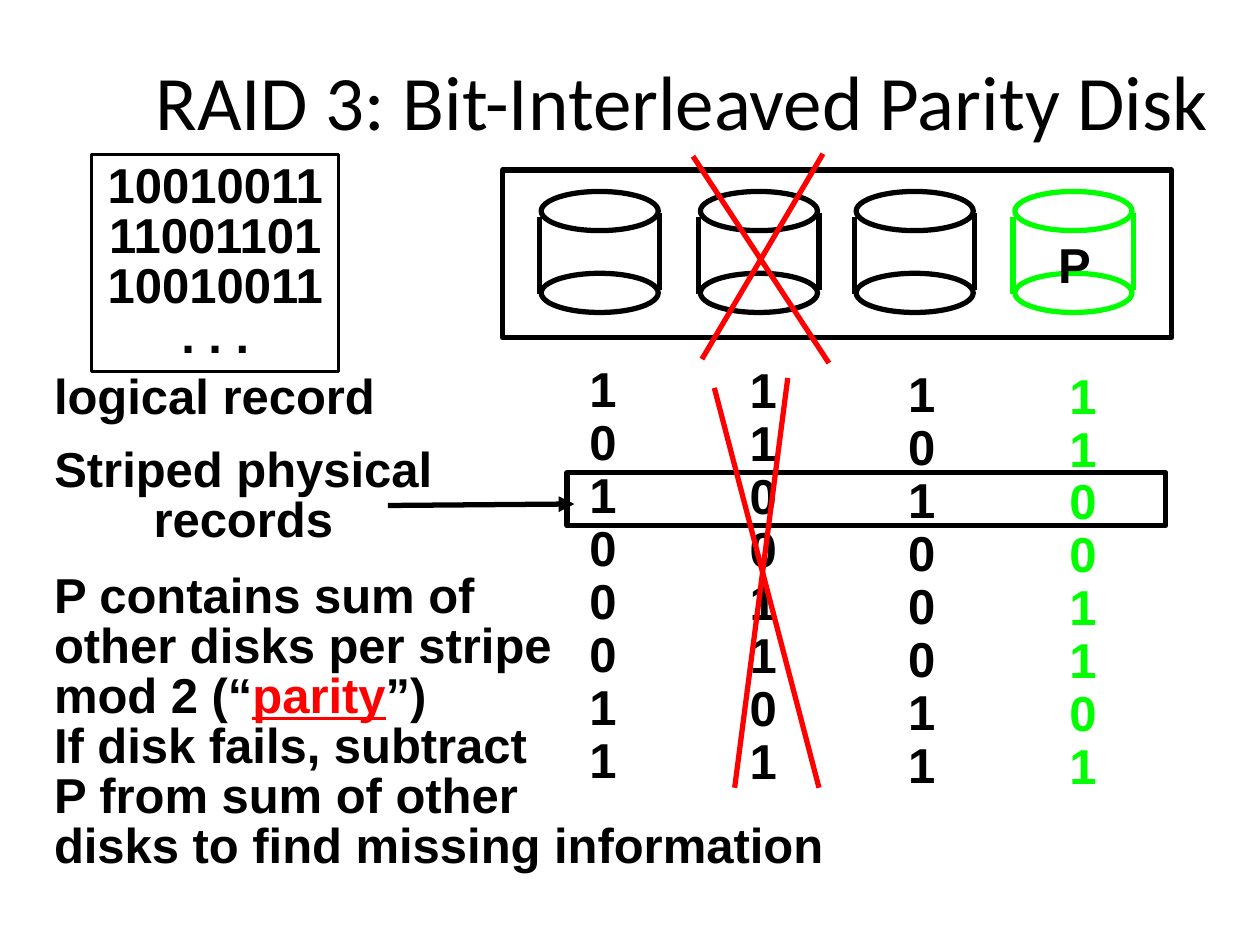
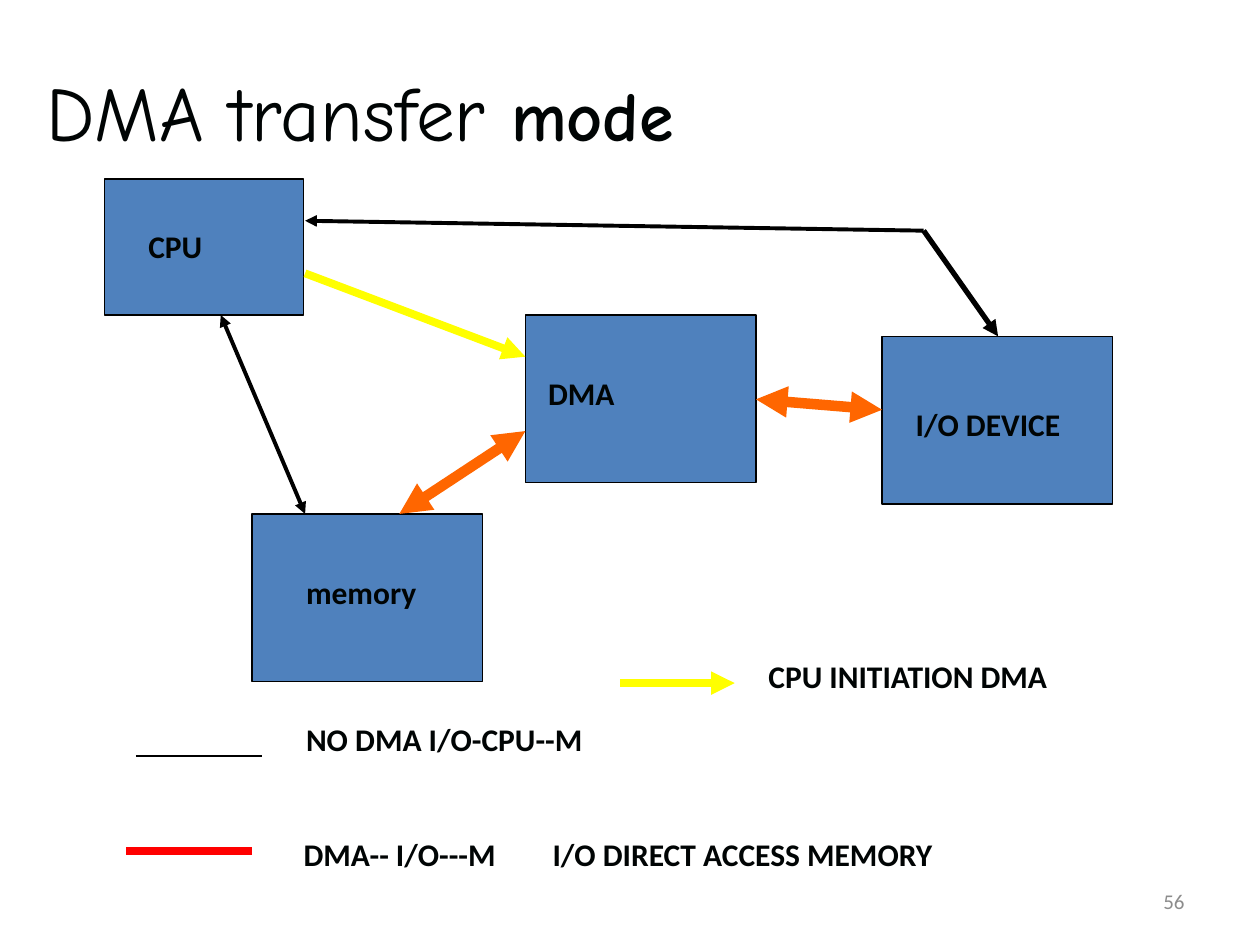
from pptx import Presentation
from pptx.dml.color import RGBColor as RGB
from pptx.enum.shapes import MSO_CONNECTOR as LINK, MSO_SHAPE as FORM
from pptx.enum.text import MSO_ANCHOR as ANCHOR, PP_ALIGN as ALIGN
from pptx.oxml.ns import qn
from pptx.util import Cm, Pt
from lxml.etree import SubElement as Sub

BLACK, WHITE, RED, GREEN = "000000", "FFFFFF", "FF0000", "00FF00"
INK, BLUE, ORANGE, YELLOW, GREY = "000404", "4F81BD", "FF6600", "FFFF00", "8C8C8C"
BITS = dict(size=28, face="Arial", tint=BLACK, bold=True)
TITLE = dict(size=44, face="Calibri", tint=BLACK)
LABEL = dict(size=18, face="Calibri", tint=INK, bold=True)


def color(code):
    return RGB.from_string(code)


def add_run(para, text, size, face, tint, bold=False, under=False):
    run = para.add_run()
    run.text = text
    font = run.font
    font.size, font.name = Pt(size), face
    font.bold, font.underline = bold, under
    font.color.rgb = color(tint)


def write(shape, paras, style, align=ALIGN.LEFT, gap=None,
          anchor=ANCHOR.TOP, wrap=True, tab=None):
    """Fill a shape; a paragraph is a string or a list of (text, changes) runs.

    A line feed within a run is a line break.
    """
    frame = shape.text_frame
    frame.word_wrap, frame.vertical_anchor = wrap, anchor
    for i, runs in enumerate(paras):
        para = frame.add_paragraph() if i else frame.paragraphs[0]
        para.alignment = align
        if gap:
            para.line_spacing = gap
        if tab:
            stops = Sub(para._p.get_or_add_pPr(), qn("a:tabLst"))
            Sub(stops, qn("a:tab"), pos=str(Cm(tab)), algn="l")
        for text, diff in [(runs, {})] if isinstance(runs, str) else runs:
            for j, part in enumerate(text.split("\n")):
                if j:
                    para.add_line_break()
                add_run(para, part, **{**style, **diff})


def add_text(slide, at, paras, style, **opts):
    box = slide.shapes.add_textbox(*map(Cm, at))
    write(box, paras, style, **opts)


def add_bits(slide, at, paras, gap=0.85, tint=BLACK, **opts):
    add_text(slide, at, paras, {**BITS, "tint": tint}, gap=gap, wrap=False, **opts)


def add_form(slide, at, fill=None, line=BLACK, width=3, kind=FORM.RECTANGLE):
    shape = slide.shapes.add_shape(kind, *map(Cm, at))
    shape.shadow.inherit = False
    if fill:
        shape.fill.solid()
        shape.fill.fore_color.rgb = color(fill)
    else:
        shape.fill.background()
    shape.line.color.rgb = color(line)
    shape.line.width = Pt(width)
    return shape


def add_line(slide, ends, tint=BLACK, width=3.0, tips=""):
    """Draw x1, y1, x2, y2; tips names the arrowheads, "head" and/or "tail"."""
    link = slide.shapes.add_connector(LINK.STRAIGHT, *map(Cm, ends))
    link.line.color.rgb = color(tint)
    link.line.width = Pt(width)
    for tip in tips.split():
        Sub(link.line._get_or_add_ln(), qn(f"a:{tip}End"), type="triangle")
    Sub(link._element.spPr, qn("a:effectLst"))


def add_disk(slide, left, tint):
    for top in (3.86, 5.51):
        add_form(slide, (left + 0.04, top, 2.36, 0.79), WHITE, tint, kind=FORM.OVAL)
    for x, top in ((left, 4.37), (left + 2.43, 4.29)):
        add_line(slide, (x, top, x, top + 1.55), tint)


def add_raid(slide):
    add_text(slide, (2.11, 0.43, 23.29, 3.18), ["RAID 3: Bit-Interleaved Parity Disk"],
             TITLE, align=ALIGN.CENTER, anchor=ANCHOR.MIDDLE)

    disks = [  # disk left, bits left, bits top, bits, colour
        (10.87, 11.63, 7.24, "10100011", BLACK),
        (14.08, 14.86, 7.26, "11001101", BLACK),
        (17.22, 18.06, 7.34, "10100011", BLACK),
        (20.42, 21.31, 7.37, "11001101", GREEN),
    ]
    for left, x, y, bits, tint in disks:
        add_disk(slide, left, tint)
        add_bits(slide, (x, y, 1.04, 8.79), list(bits), gap=0.9, tint=tint)
    add_form(slide, (10.13, 3.43, 13.49, 3.38))
    add_bits(slide, (21.08, 4.78, 1.17, 1.24), ["P"])

    record = add_form(slide, (1.85, 3.12, 4.98, 4.37), WHITE, width=2)
    write(record, ["10010011", "11001101", "10010011", ". . ."], BITS,
          align=ALIGN.CENTER, gap=0.85, anchor=ANCHOR.MIDDLE, wrap=False)
    add_bits(slide, (0.84, 7.42, 6.99, 1.24), ["logical record"])
    add_bits(slide, (0.84, 11.43, 16.05, 6.3), [
        "P contains sum of",
        [("other disks per stripe\nmod 2 (“", {}),
         ("parity", dict(tint=RED, under=True)), ("”)", {})],
        "If disk fails, subtract",
        "P from sum of other\ndisks to find missing information",
    ])

    add_line(slide, (7.82, 10.19, 11.58, 10.16), tips="tail")
    add_bits(slide, (0.84, 8.89, 8.13, 2.26), ["Striped physical", "records"],
             align=ALIGN.CENTER)
    add_form(slide, (11.43, 9.53, 12.07, 1.07))

    for cross in ((13.97, 3.15, 16.71, 7.32), (16.59, 3.1, 14.15, 7.24),
                  (14.4, 7.82, 16.51, 15.88), (15.88, 7.62, 14.81, 15.88)):
        add_line(slide, cross, RED)


def add_dma(slide):
    add_text(slide, (18.21, 17.65, 5.92, 1.02), ["56"],
             dict(size=12, face="Calibri", tint=GREY),
             align=ALIGN.RIGHT, anchor=ANCHOR.MIDDLE)
    add_text(slide, (0.69, 1.12, 23.72, 2.21),
             [[("DMA transfer ", {}), ("mode", dict(size=40, bold=True))]],
             {**TITLE, "face": "Comic Neue", "tint": INK}, anchor=ANCHOR.MIDDLE)

    large = (4.65, 3.38)
    units = [  # name, corner, size, label corner, label width
        ("CPU", (2.11, 3.61), (4.01, 2.74), (2.74, 4.45), 5.28),
        ("memory", (5.08, 10.36), large, (5.92, 11.43), 3.61),
        ("I/O DEVICE", (17.78, 6.78), large, (18.21, 8.05), 4.01),
        ("DMA", (10.59, 6.35), large, (10.8, 7.42), 3.61),
    ]
    for name, corner, size, spot, width in units:
        add_form(slide, corner + size, BLUE, width=0.75)
        add_text(slide, (*spot, width, 1.02), [name], LABEL)

    links = [
        ((15.24, 8.05, 17.78, 8.26), ORANGE, 6, "head tail"),
        ((8.05, 10.36, 10.59, 8.69), ORANGE, 6, "head tail"),
        ((6.15, 4.45, 18.62, 4.65), BLACK, 2.25, "head"),
        ((18.62, 4.65, 20.12, 6.78), BLACK, 3, "tail"),
        ((4.45, 6.35, 6.15, 10.36), BLACK, 2.25, "head tail"),
        ((6.15, 5.51, 10.59, 7.19), YELLOW, 4.5, "tail"),
    ]
    for link in links:
        add_line(slide, *link)

    legend = [  # line, its look, label box, label
        ((12.5, 13.77, 14.81, 13.77), (YELLOW, 4.5, "tail"),
         (15.24, 13.13, 8.69, 1.02), "CPU INITIATION DMA"),
        ((2.74, 15.24, 5.28, 15.24), (BLACK, 0.75),
         (5.92, 14.4, 7.42, 1.02), "NO DMA I/O-CPU--M"),
        ((2.54, 17.15, 5.08, 17.15), (RED, 4.5),
         (5.87, 16.71, 19.5, 1.02), "DMA-- I/O---M\tI/O DIRECT ACCESS MEMORY"),
    ]
    for ends, look, at, text in legend:
        add_line(slide, ends, *look)
        add_text(slide, at, [text], LABEL, tab=5.02 if "\t" in text else None)


def main():
    deck = Presentation()
    deck.slide_width, deck.slide_height = Cm(25.4), Cm(19.05)
    for build in (add_raid, add_dma):
        build(deck.slides.add_slide(deck.slide_layouts[6]))
    deck.save("out.pptx")


if __name__ == "__main__":
    main()
